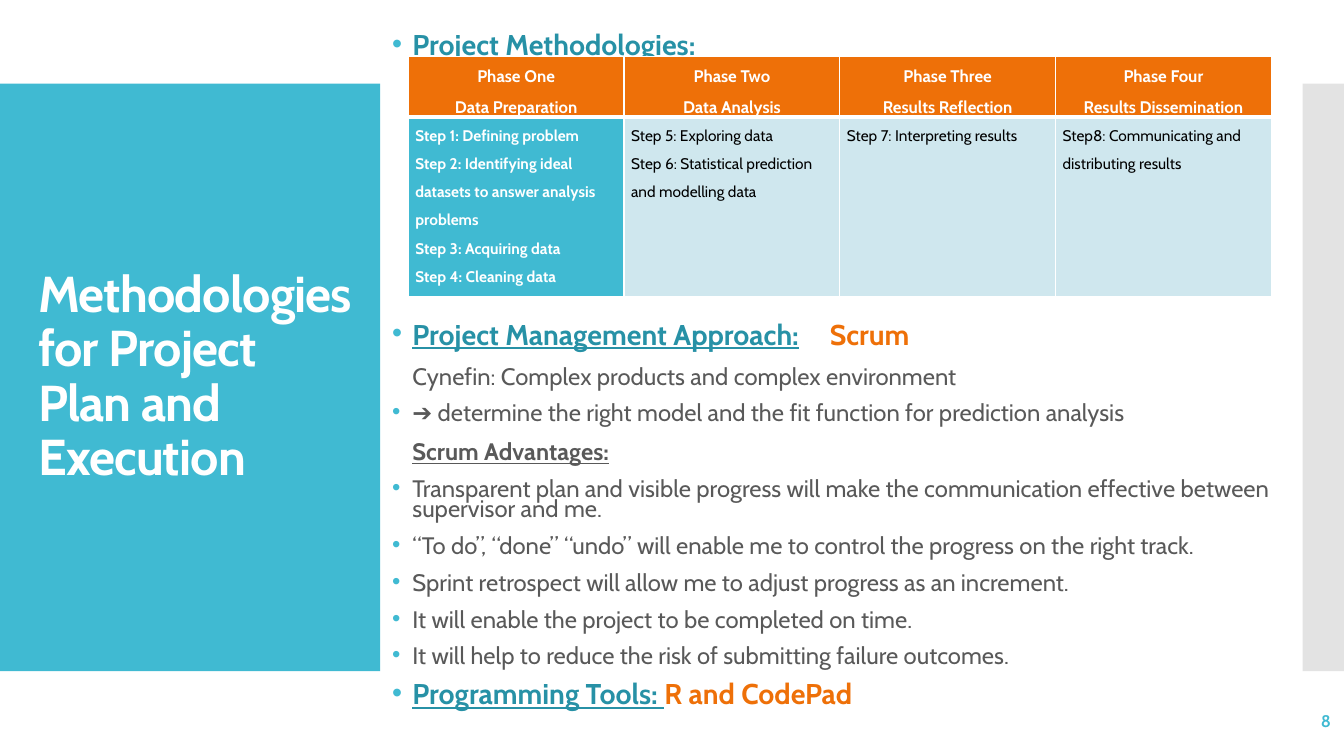
from dataclasses import dataclass

from lxml import etree
from pptx import Presentation
from pptx.dml.color import RGBColor
from pptx.enum.shapes import MSO_SHAPE
from pptx.enum.text import MSO_ANCHOR, MSO_AUTO_SIZE, PP_ALIGN
from pptx.oxml.ns import qn
from pptx.util import Inches, Pt

RECT = MSO_SHAPE.RECTANGLE
MIDDLE, TOP = MSO_ANCHOR.MIDDLE, MSO_ANCHOR.TOP
LEFT, CENTER, RIGHT = PP_ALIGN.LEFT, PP_ALIGN.CENTER, PP_ALIGN.RIGHT
NO_FIT = MSO_AUTO_SIZE.NONE

FONT = "Cabin"
TEAL, DARK_TEAL, PALE_TEAL = "40BAD2", "2791A6", "CFE7EE"
ORANGE, GREY, SILVER = "EE7008", "595959", "C8C8C8"
WHITE, BLACK = "FFFFFF", "000000"
INDENT = Inches(0.2)


@dataclass
class Style:
    size: float
    color: str
    bold: bool = False
    underline: bool = False


@dataclass
class Item:
    texts: list[tuple[str, Style]]
    before: float = 12
    bullet: bool = True


@dataclass
class Phase:
    name: str
    stage: str
    steps: list[str]


HEADING = Style(20.4, DARK_TEAL, bold=True, underline=True)
ANSWER = Style(20.4, ORANGE, bold=True)
PLAIN = Style(17, GREY)
SUBHEAD = Style(17, GREY, bold=True, underline=True)

ADVANTAGES = [
    "Transparent plan and visible progress will make the communication "
    "effective between supervisor and me.",
    "“To do”, “done” “undo” will enable me to control the progress on the right track.",
    "Sprint retrospect will allow me to adjust progress as an increment.",
    "It will enable the project to be completed on time.",
    "It will help to reduce the risk of submitting failure outcomes.",
]
ITEMS = [
    Item([("Project Methodologies: ", HEADING)], before=0),
    # The large space leaves room for the table
    Item([("Project Management Approach:", HEADING), ("\tScrum", ANSWER)], before=189.8),
    Item([("Cynefin: Complex products and complex environment", PLAIN)], 14, False),
    Item([("➔ determine the right model and the fit function for prediction analysis",
           PLAIN)], before=11.2),
    Item([("Scrum Advantages:", SUBHEAD)], 14, False),
    *[Item([(text, PLAIN)]) for text in ADVANTAGES],
    Item([("Programming Tools: ", HEADING), ("R and CodePad", ANSWER)]),
]
PHASES = [
    Phase("Phase One", "Data Preparation", [
        "Step 1: Defining problem",
        "Step 2: Identifying ideal datasets to answer analysis problems",
        "Step 3: Acquiring data",
        "Step 4: Cleaning data"]),
    Phase("Phase Two", "Data Analysis", [
        "Step 5: Exploring data",
        "Step 6: Statistical prediction and modelling data"]),
    Phase("Phase Three", "Results Reflection", ["Step 7: Interpreting results"]),
    Phase("Phase Four", "Results Dissemination",
          ["Step8: Communicating and distributing results"]),
]


def rgb(color: str) -> RGBColor:
    return RGBColor.from_string(color)


def place(sp, left: float, top: float, width: float, height: float) -> None:
    sp.left, sp.top = Inches(left), Inches(top)
    sp.width, sp.height = Inches(width), Inches(height)


def format_run(r, style: Style) -> None:
    r.font.name = FONT
    r.font.size = Pt(style.size)
    r.font.color.rgb = rgb(style.color)
    r.font.bold = style.bold
    r.font.underline = style.underline


def format_text(tf, style: Style, align: PP_ALIGN, spacing: float) -> None:
    for p in tf.paragraphs:
        p.alignment, p.line_spacing = align, spacing
        for r in p.runs:
            format_run(r, style)


def add_panel(slide, left: float, width: float, color: str, alpha: int = 100) -> None:
    sp = slide.shapes.add_shape(RECT, Inches(left), Inches(0.83), Inches(width), Inches(5.83))
    sp.shadow.inherit = False
    sp.fill.solid()
    sp.fill.fore_color.rgb = rgb(color)
    sp.line.fill.background()
    if alpha < 100:
        clr = sp._element.spPr.find(qn("a:solidFill")).find(qn("a:srgbClr"))
        etree.SubElement(clr, qn("a:alpha"), val=str(alpha * 1000))
    slide.shapes._spTree.insert(2, sp._element)  # behind the placeholders


def set_bullet(p, bullet: bool) -> None:
    pPr = p._p.get_or_add_pPr()
    pPr.set("marL", str(INDENT))
    pPr.set("indent", str(-INDENT if bullet else 0))
    if bullet:
        clr = etree.SubElement(pPr, qn("a:buClr"))
        etree.SubElement(clr, qn("a:srgbClr"), val=TEAL)
        etree.SubElement(pPr, qn("a:buFont"), typeface="Arial")
        etree.SubElement(pPr, qn("a:buChar"), char="•")
    else:
        etree.SubElement(pPr, qn("a:buNone"))


def add_item(p, item: Item) -> None:
    p.alignment, p.line_spacing = LEFT, 0.7
    p.space_before, p.space_after = Pt(item.before), Pt(0)
    set_bullet(p, item.bullet)
    for text, style in item.texts:
        if text.startswith("\t"):
            tabs = etree.SubElement(p._p.get_or_add_pPr(), qn("a:tabLst"))
            etree.SubElement(tabs, qn("a:tab"), pos=str(Inches(4.34)), algn="l")
        r = p.add_run()
        r.text = text
        format_run(r, style)


def fill_cell(cell, lines: list[str], style: Style, align: PP_ALIGN, fill: str,
              bottom: int) -> None:
    cell.margin_left = cell.margin_right = Inches(0.07)
    cell.margin_top = cell.margin_bottom = 0
    cell.vertical_anchor = TOP
    cell.text_frame.text = "\n".join(lines)
    format_text(cell.text_frame, style, align, 1.5)
    tcPr = cell._tc.get_or_add_tcPr()
    for side, width in (("L", 1), ("R", 1), ("T", 1), ("B", bottom)):
        ln = etree.SubElement(tcPr, qn("a:ln" + side), w=str(Pt(width)))
        solid = etree.SubElement(ln, qn("a:solidFill"))
        etree.SubElement(solid, qn("a:srgbClr"), val=WHITE)
    cell.fill.solid()
    cell.fill.fore_color.rgb = rgb(fill)


def add_phase_table(slide) -> None:
    table = slide.shapes.add_table(2, len(PHASES), Inches(4.05), Inches(0.56),
                                   Inches(8.56), Inches(2.36)).table
    table.rows[0].height, table.rows[1].height = Inches(0.58), Inches(1.78)
    for col, phase in enumerate(PHASES):
        first = col == 0
        fill_cell(table.cell(0, col), [phase.name, phase.stage],
                  Style(12, WHITE, bold=True), CENTER, ORANGE, 3)
        fill_cell(table.cell(1, col), phase.steps,
                  Style(11, WHITE if first else BLACK, bold=first),
                  LEFT, TEAL if first else PALE_TEAL, 1)


def main() -> None:
    prs = Presentation()
    prs.slide_width, prs.slide_height = Inches(13.33), Inches(7.5)
    slide = prs.slides.add_slide(prs.slide_layouts[1])

    # Side panels
    add_panel(slide, 0, 3.77, TEAL)
    add_panel(slide, 12.92, 0.42, SILVER, alpha=50)

    # Title
    title = slide.shapes.title
    place(title, 0.28, 1.23, 3.35, 5.03)
    tf = title.text_frame
    tf.text = "Methodologies for Project Plan and Execution"
    tf.vertical_anchor, tf.auto_size = MIDDLE, NO_FIT
    format_text(tf, Style(36, WHITE, bold=True), LEFT, 0.9)
    tf.paragraphs[0].runs[0]._r.get_or_add_rPr().set("spc", "-60")

    # Body list
    body = slide.placeholders[1]
    place(body, 3.79, 0.22, 9.52, 7.13)
    tf = body.text_frame
    tf.vertical_anchor, tf.auto_size = TOP, NO_FIT
    tf.margin_top = Inches(0.14)
    for i, item in enumerate(ITEMS):
        add_item(tf.add_paragraph() if i else tf.paragraphs[0], item)

    # Slide number
    number = slide.shapes.add_textbox(Inches(11.63), Inches(6.95), Inches(1.67), Inches(0.4))
    tf = number.text_frame
    tf.text = "8"
    tf.word_wrap, tf.vertical_anchor = True, MIDDLE
    format_text(tf, Style(12, TEAL, bold=True), RIGHT, 1.0)

    # Phases
    add_phase_table(slide)
    prs.save("out.pptx")


if __name__ == "__main__":
    main()
